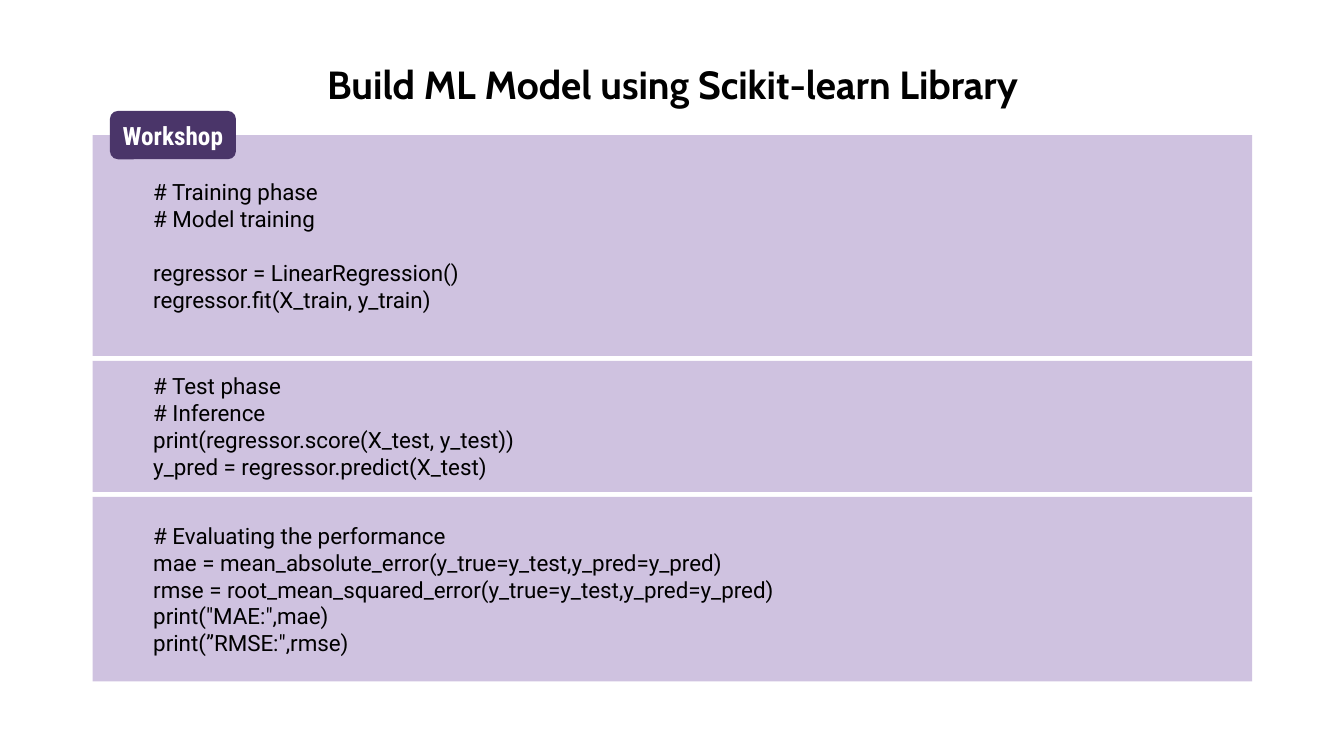
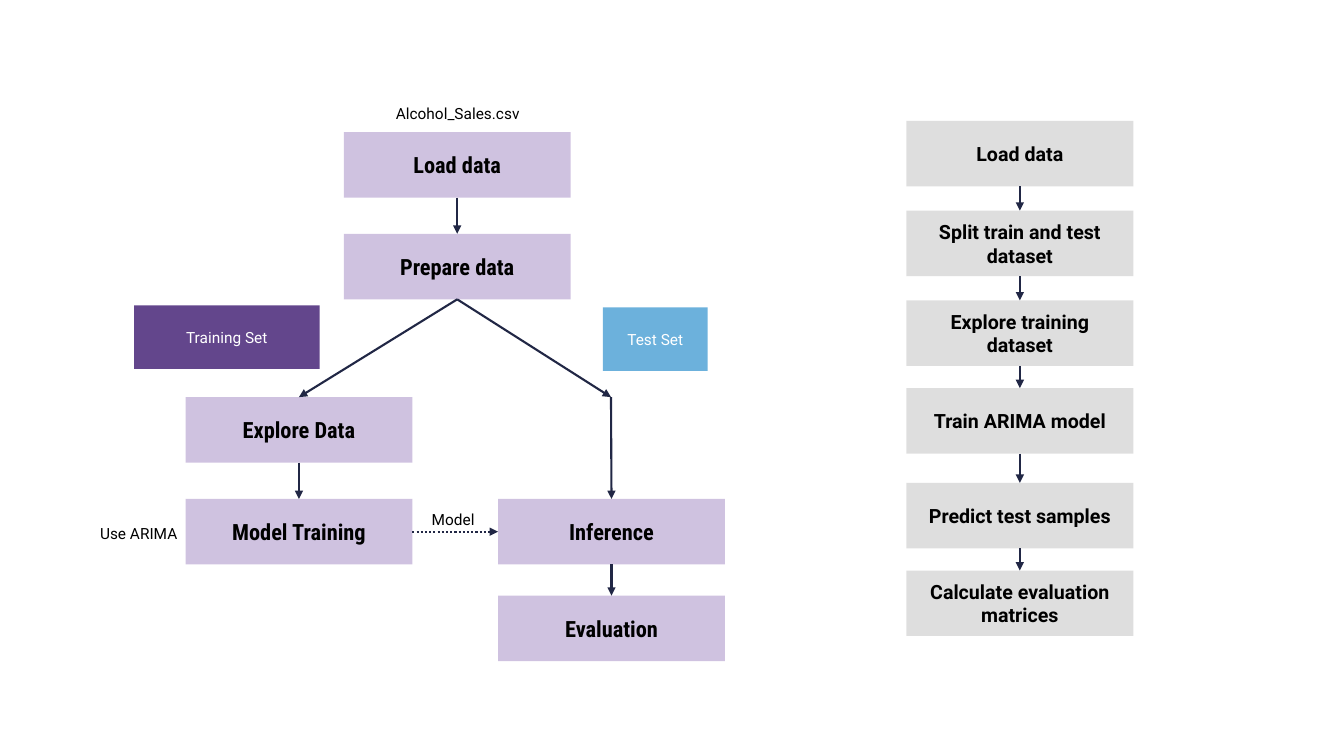
from dataclasses import dataclass
from itertools import pairwise

from lxml import etree
from pptx import Presentation
from pptx.dml.color import RGBColor
from pptx.enum import dml, shapes, text
from pptx.oxml.ns import qn
from pptx.util import Inches, Pt

BLACK = RGBColor(0x00, 0x00, 0x00)
WHITE = RGBColor(0xFF, 0xFF, 0xFF)
LILAC = RGBColor(0xA0, 0x87, 0xC3)
GREY = RGBColor(0xBF, 0xBF, 0xBF)
PURPLE = RGBColor(0x63, 0x46, 0x8C)
DARK_PURPLE = RGBColor(0x4A, 0x35, 0x69)
BLUE = RGBColor(0x6C, 0xB1, 0xDC)
NAVY = RGBColor(0x21, 0x27, 0x45)

CENTER, LEFT, RIGHT = text.PP_ALIGN.CENTER, text.PP_ALIGN.LEFT, text.PP_ALIGN.RIGHT
TOP_SIDE, LEFT_SIDE, BOTTOM_SIDE, RIGHT_SIDE = range(4)
TITLE_ONLY, BLANK = 5, 6

PANEL_LEFT, PANEL_WIDTH = 0.92, 11.5
STEP_WIDTH, STEP_HEIGHT = 2.25, 0.65


@dataclass(frozen=True)
class TextStyle:
    font: str
    size: int
    color: RGBColor = BLACK
    bold: bool = False
    align: text.PP_ALIGN = CENTER


@dataclass(frozen=True)
class Box:
    left: float
    top: float
    width: float
    height: float

    def lengths(self):
        return [Inches(n) for n in (self.left, self.top, self.width, self.height)]


@dataclass(frozen=True)
class CodePanel:
    top: float
    height: float
    code: tuple[str, ...]
    gap_before: int | None = None  # index of the line that starts a new block


@dataclass(frozen=True)
class Step:
    caption: str
    left: float
    top: float


TITLE = TextStyle("Cabin", 28, bold=True)
CODE = TextStyle("Roboto", 16, align=LEFT)
TAG = TextStyle("Roboto Condensed", 18, WHITE, bold=True)
FLOW_STEP = TextStyle("Roboto Condensed", 16, bold=True)
TASK_STEP = TextStyle("Roboto", 14, bold=True)
NOTE = TextStyle("Roboto", 11)
NOTE_RIGHT = TextStyle("Roboto", 11, align=RIGHT)
SET_NAME = TextStyle("Roboto", 11, WHITE)

CODE_PANELS = (
    CodePanel(1.34, 2.19, (
        "# Training phase",
        "# Model training",
        "regressor = LinearRegression()",
        "regressor.fit(X_train, y_train)",
    ), gap_before=2),
    CodePanel(3.58, 1.3, (
        "# Test phase",
        "# Inference",
        "print(regressor.score(X_test, y_test))",
        "y_pred = regressor.predict(X_test)",
    )),
    CodePanel(4.93, 1.83, (
        "# Evaluating the performance",
        "mae = mean_absolute_error(y_true=y_test,y_pred=y_pred)",
        "rmse = root_mean_squared_error(y_true=y_test,y_pred=y_pred)",
        'print("MAE:",mae)',
        'print(”RMSE:",rmse)',
    )),
)

TASK_LEFT = 8.99
TASKS = (
    Step("Load data", TASK_LEFT, 1.2),
    Step("Split train and test dataset", TASK_LEFT, 2.09),
    Step("Explore training dataset", TASK_LEFT, 2.98),
    Step("Train ARIMA model", TASK_LEFT, 3.85),
    Step("Predict test samples", TASK_LEFT, 4.79),
    Step("Calculate evaluation matrices", TASK_LEFT, 5.66),
)

SHARED_LEFT, TRAIN_LEFT, TEST_LEFT = 3.41, 1.84, 4.94
FLOW = (
    Step("Load data", SHARED_LEFT, 1.31),
    Step("Prepare data", SHARED_LEFT, 2.32),
    Step("Explore Data", TRAIN_LEFT, 3.94),
    Step("Model Training", TRAIN_LEFT, 4.95),
    Step("Inference", TEST_LEFT, 4.95),
    Step("Evaluation", TEST_LEFT, 5.91),
)
NOTES = (
    ("Model", Box(3.7, 5.01, 1.59, 0.29), NOTE),
    ("Alcohol_Sales.csv", Box(3.6, 0.98, 1.88, 0.29), NOTE),
    ("Use ARIMA", Box(0.36, 5.15, 1.5, 0.29), NOTE_RIGHT),
)
DATA_SETS = (
    ("Training Set", Box(1.33, 3.03, 1.84, 0.63), PURPLE),
    ("Test Set", Box(5.98, 3.05, 1.04, 0.63), BLUE),
)


def write(frame, lines: tuple[str, ...], style: TextStyle) -> None:
    frame.word_wrap = True
    frame.vertical_anchor = text.MSO_ANCHOR.MIDDLE
    for number, line in enumerate(lines):
        paragraph = frame.paragraphs[0] if number == 0 else frame.add_paragraph()
        paragraph.text = line
        paragraph.alignment = style.align
        font = paragraph.font
        font.name, font.size, font.bold = style.font, Pt(style.size), style.bold
        font.color.rgb = style.color


def add_box(slide, box: Box, color: RGBColor, lines: tuple[str, ...], style: TextStyle,
            opacity: int = 100, preset=shapes.MSO_SHAPE.RECTANGLE):
    shape = slide.shapes.add_shape(preset, *box.lengths())
    shape.shadow.inherit = False
    shape.line.fill.background()
    shape.fill.solid()
    shape.fill.fore_color.rgb = color
    if opacity < 100:
        fill_color = shape.element.spPr.find(qn("a:solidFill"))[0]
        etree.SubElement(fill_color, qn("a:alpha"), val=str(opacity * 1000))
    write(shape.text_frame, lines, style)
    return shape


def add_step(slide, step: Step, color: RGBColor, style: TextStyle):
    box = Box(step.left, step.top, STEP_WIDTH, STEP_HEIGHT)
    return add_box(slide, box, color, (step.caption,), style, opacity=50)


def add_note(slide, caption: str, box: Box, style: TextStyle) -> None:
    note = slide.shapes.add_textbox(*box.lengths())
    write(note.text_frame, (caption,), style)


def add_arrow(slide, start, end, start_side: int = BOTTOM_SIDE, end_side: int = TOP_SIDE,
              dotted: bool = False) -> None:
    """Draw an arrow; each end is a box to join or an (x, y) point."""
    points = [(Inches(e[0]), Inches(e[1])) if isinstance(e, tuple) else (0, 0)
              for e in (start, end)]
    arrow = slide.shapes.add_connector(
        shapes.MSO_CONNECTOR.STRAIGHT, *points[0], *points[1])
    if not isinstance(start, tuple):
        arrow.begin_connect(start, start_side)
    if not isinstance(end, tuple):
        arrow.end_connect(end, end_side)
    arrow.line.color.rgb = NAVY
    arrow.line.width = Pt(1.5)
    if dotted:
        arrow.line.dash_style = dml.MSO_LINE.ROUND_DOT
    properties = arrow.element.spPr
    etree.SubElement(properties.find(qn("a:ln")), qn("a:tailEnd"), type="triangle")
    etree.SubElement(properties, qn("a:effectLst"))


def build_code_slide(deck) -> None:
    slide = deck.slides.add_slide(deck.slide_layouts[TITLE_ONLY])
    title = slide.shapes.title
    title.left, title.top, title.width, title.height = Box(
        PANEL_LEFT, 0.4, PANEL_WIDTH, 0.93).lengths()
    write(title.text_frame, ("Build ML Model using Scikit-learn Library",), TITLE)
    title.text_frame.paragraphs[0].line_spacing = 0.9

    for panel in CODE_PANELS:
        box = Box(PANEL_LEFT, panel.top, PANEL_WIDTH, panel.height)
        frame = add_box(slide, box, LILAC, panel.code, CODE, opacity=50).text_frame
        frame.margin_left = Inches(0.6)
        if panel.gap_before is not None:
            frame.paragraphs[panel.gap_before].space_before = Pt(19)

    add_box(slide, Box(1.09, 1.1, 1.25, 0.48), DARK_PURPLE, ("Workshop",), TAG,
            preset=shapes.MSO_SHAPE.ROUNDED_RECTANGLE)


def build_flow_slide(deck) -> None:
    slide = deck.slides.add_slide(deck.slide_layouts[BLANK])

    tasks = [add_step(slide, task, GREY, TASK_STEP) for task in TASKS]
    for task, next_task in pairwise(tasks):
        add_arrow(slide, task, next_task)

    load, prepare, explore, training, inference, evaluation = (
        add_step(slide, step, LILAC, FLOW_STEP) for step in FLOW)
    for caption, box, color in DATA_SETS:
        add_box(slide, box, color, (caption,), SET_NAME)

    test_bend = (6.06, 3.94)
    for start, end in (
        (load, prepare),
        (prepare, explore),
        (prepare, test_bend),
        (explore, training),
        (test_bend, inference),
        (inference, evaluation),
    ):
        add_arrow(slide, start, end)
    add_arrow(slide, training, inference, RIGHT_SIDE, LEFT_SIDE, dotted=True)

    for caption, box, style in NOTES:
        add_note(slide, caption, box, style)


def main() -> None:
    deck = Presentation()
    deck.slide_width, deck.slide_height = Inches(13.33), Inches(7.5)
    build_code_slide(deck)
    build_flow_slide(deck)
    deck.save("out.pptx")


if __name__ == "__main__":
    main()
